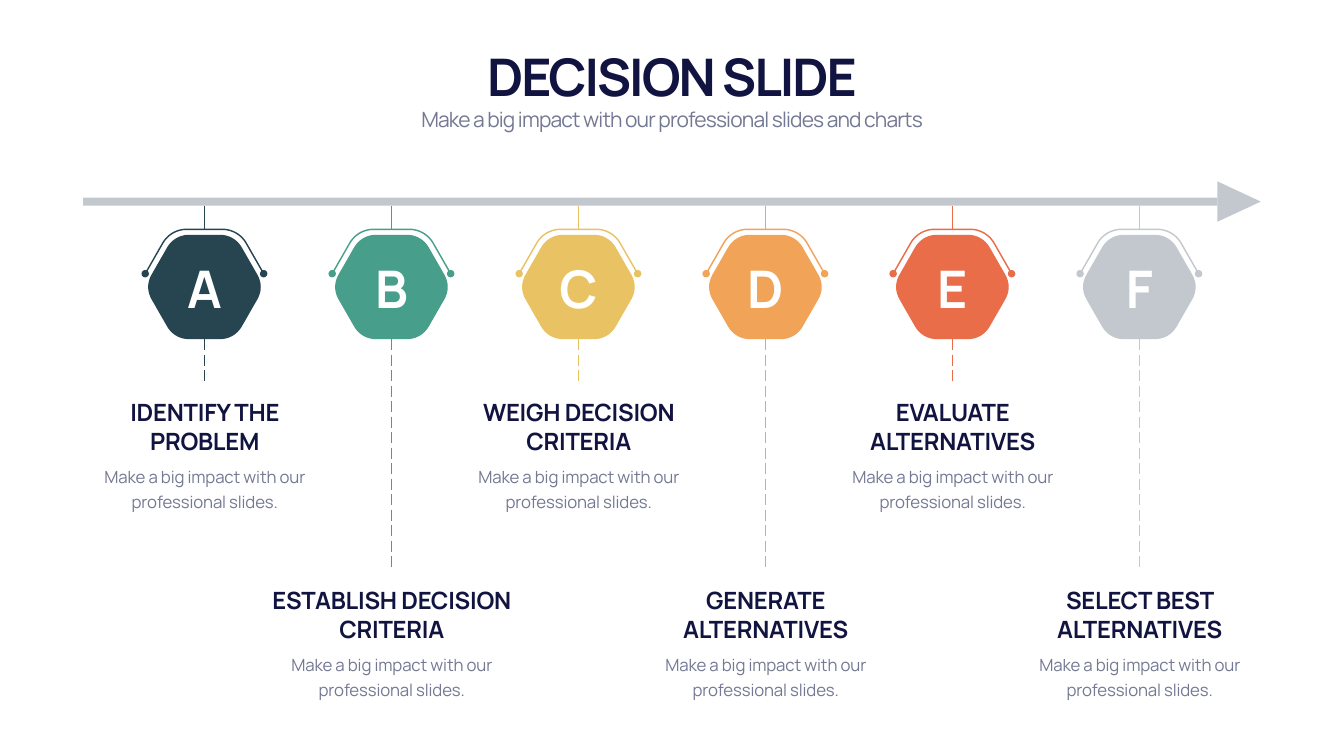
from pptx import Presentation
from pptx.dml.color import RGBColor
from pptx.enum.dml import MSO_LINE
from pptx.enum.shapes import MSO_CONNECTOR, MSO_SHAPE
from pptx.enum.text import MSO_ANCHOR, PP_ALIGN
from pptx.oxml.ns import qn
from pptx.util import Pt
from lxml import etree

STRAIGHT = MSO_CONNECTOR.STRAIGHT
RECTANGLE, OVAL = MSO_SHAPE.RECTANGLE, MSO_SHAPE.OVAL
TOP, MIDDLE, BOTTOM = MSO_ANCHOR.TOP, MSO_ANCHOR.MIDDLE, MSO_ANCHOR.BOTTOM
CENTER = PP_ALIGN.CENTER
LONG_DASH = MSO_LINE.LONG_DASH

COLORS = {
    "ink": "111340", "muted": "747993", "white": "FFFFFF",
    "navy": "264551", "green": "479E8B", "yellow": "E9C363",
    "orange": "F1A357", "red": "E86D48", "gray": "C3C8CE",
}
WIDTH, HEIGHT = 1919.52, 1080
FIRST_X, STEP_X = 292, 267.05
AXIS_Y, HEXAGON_Y = 288, 410
BODY = "Make a big impact with our professional slides."
STEPS = [
    ("A", "IDENTIFY THE PROBLEM", "navy"),
    ("B", "ESTABLISH DECISION CRITERIA", "green"),
    ("C", "WEIGH DECISION CRITERIA", "yellow"),
    ("D", "GENERATE ALTERNATIVES", "orange"),
    ("E", "EVALUATE ALTERNATIVES", "red"),
    ("F", "SELECT BEST ALTERNATIVES", "gray"),
]


def curve(a, b, c, d, count=16):
    """Points along a cubic Bezier curve."""
    points = []
    for i in range(count + 1):
        t = i / count
        u = 1 - t
        points.append(tuple(
            u**3 * p + 3 * u * u * t * q + 3 * u * t * t * r + t**3 * s
            for p, q, r, s in zip(a, b, c, d)))
    return points


def mirror(points, sx, sy):
    """Reflected points in reverse order, to continue an outline."""
    return [(x * sx, y * sy) for x, y in reversed(points)]


# Outlines relative to the hexagon centre
corner = curve((53.3, -56.5), (46.8, -67.7), (35.3, -74.5), (22.3, -74.5))
side = curve((75.6, 17.6), (82, 6.1), (82, -6.1), (75.6, -17.6))
right_half = mirror(corner, 1, -1) + side + corner
HEXAGON = right_half + mirror(right_half, -1, 1)
DOT_X, DOT_Y, DOT_RADIUS = 84.6, -19, 5.3
right_arc = [(DOT_X, DOT_Y)] + curve(
    (59.4, -63), (52.2, -75.2), (39.2, -82.4), (25.6, -82.4))
ARC = right_arc + mirror(right_arc, -1, 1)


class Painter:
    def __init__(self, page, font="Manrope", line_width=2):
        self.page, self.font, self.line_width = page, font, line_width

    def color(self, name):
        return RGBColor.from_string(COLORS[name])

    def paint(self, shape, color):
        shape.shadow.inherit = False
        shape.fill.solid()
        shape.fill.fore_color.rgb = self.color(color)
        shape.line.fill.background()

    def preset(self, kind, x, y, width, height, color):
        shape = self.page.shapes.add_shape(
            kind, Pt(x), Pt(y), Pt(width), Pt(height))
        self.paint(shape, color)

    def outline(self, points, x, y, color, closed=True):
        places = [(Pt(x + dx), Pt(y + dy)) for dx, dy in points]
        builder = self.page.shapes.build_freeform(*places[0])
        builder.add_line_segments(places[1:], close=closed)
        shape = builder.convert_to_shape()
        self.paint(shape, color)
        if not closed:
            shape.fill.background()
            shape.line.color.rgb = self.color(color)
            shape.line.width = Pt(self.line_width)

    def vertical(self, x, top, bottom, color, dash=None):
        line = self.page.shapes.add_connector(
            STRAIGHT, Pt(x), Pt(top), Pt(x), Pt(bottom))
        line.line.color.rgb = self.color(color)
        line.line.width = Pt(self.line_width)
        if dash:
            line.line.dash_style = dash
        etree.SubElement(line._element.spPr, qn("a:effectLst"))

    def text(self, words, center, top, width, height, size, color,
             bold=False, anchor=TOP, tracking=0, leading=None):
        box = self.page.shapes.add_textbox(
            Pt(center - width / 2), Pt(top), Pt(width), Pt(height))
        frame = box.text_frame
        frame.word_wrap = True
        frame.vertical_anchor = anchor
        para = frame.paragraphs[0]
        para.text = words
        para.alignment = CENTER
        if leading:
            para.line_spacing = Pt(leading)
        font = para.font
        font.name, font.size, font.bold = self.font, Pt(size), bold
        font.color.rgb = self.color(color)
        font._element.set("spc", str(round(tracking * 100)))


def main():
    deck = Presentation()
    deck.slide_width, deck.slide_height = Pt(WIDTH), Pt(HEIGHT)
    painter = Painter(deck.slides.add_slide(deck.slide_layouts[6]))

    # Timeline arrow
    painter.preset(RECTANGLE, 118.8, AXIS_Y - 5.8, 1620, 11.6, "gray")
    painter.outline([(0, -28.8), (61.9, 0), (0, 28.8)], 1738.8, AXIS_Y, "gray")

    # Heading
    painter.text("DECISION SLIDE", WIDTH / 2, 59, 1680, 97.2, 74, "ink",
                 bold=True, anchor=BOTTOM, tracking=-2.9)
    painter.text("Make a big impact with our professional slides and charts",
                 WIDTH / 2, 149, 1680, 44, 30, "muted", tracking=-1.2)

    # Steps, with the text of every second one set lower
    for index, (letter, title, color) in enumerate(STEPS):
        x = FIRST_X + index * STEP_X
        drop = 268 * (index % 2)
        painter.outline(HEXAGON, x, HEXAGON_Y, color)
        painter.outline(ARC, x, HEXAGON_Y, color, closed=False)
        for dot_x in (x - DOT_X, x + DOT_X):
            painter.preset(OVAL, dot_x - DOT_RADIUS,
                           HEXAGON_Y + DOT_Y - DOT_RADIUS,
                           2 * DOT_RADIUS, 2 * DOT_RADIUS, color)
        painter.vertical(x, 293.8, 327, color)
        painter.vertical(x, 484.6, 548 + drop, color, LONG_DASH)
        painter.text(letter, x, 363, 90.6, 97.2, 74, "white",
                     bold=True, anchor=MIDDLE, tracking=-2.9)
        painter.text(title, x + 0.5, 563.8 + drop, 370.8, 90, 34, "ink",
                     bold=True, anchor=BOTTOM, tracking=-0.3)
        painter.text(BODY, x + 0.5, 656 + drop, 370.8, 78.5, 24, "muted",
                     tracking=-0.2, leading=36)

    deck.save("out.pptx")


if __name__ == "__main__":
    main()
